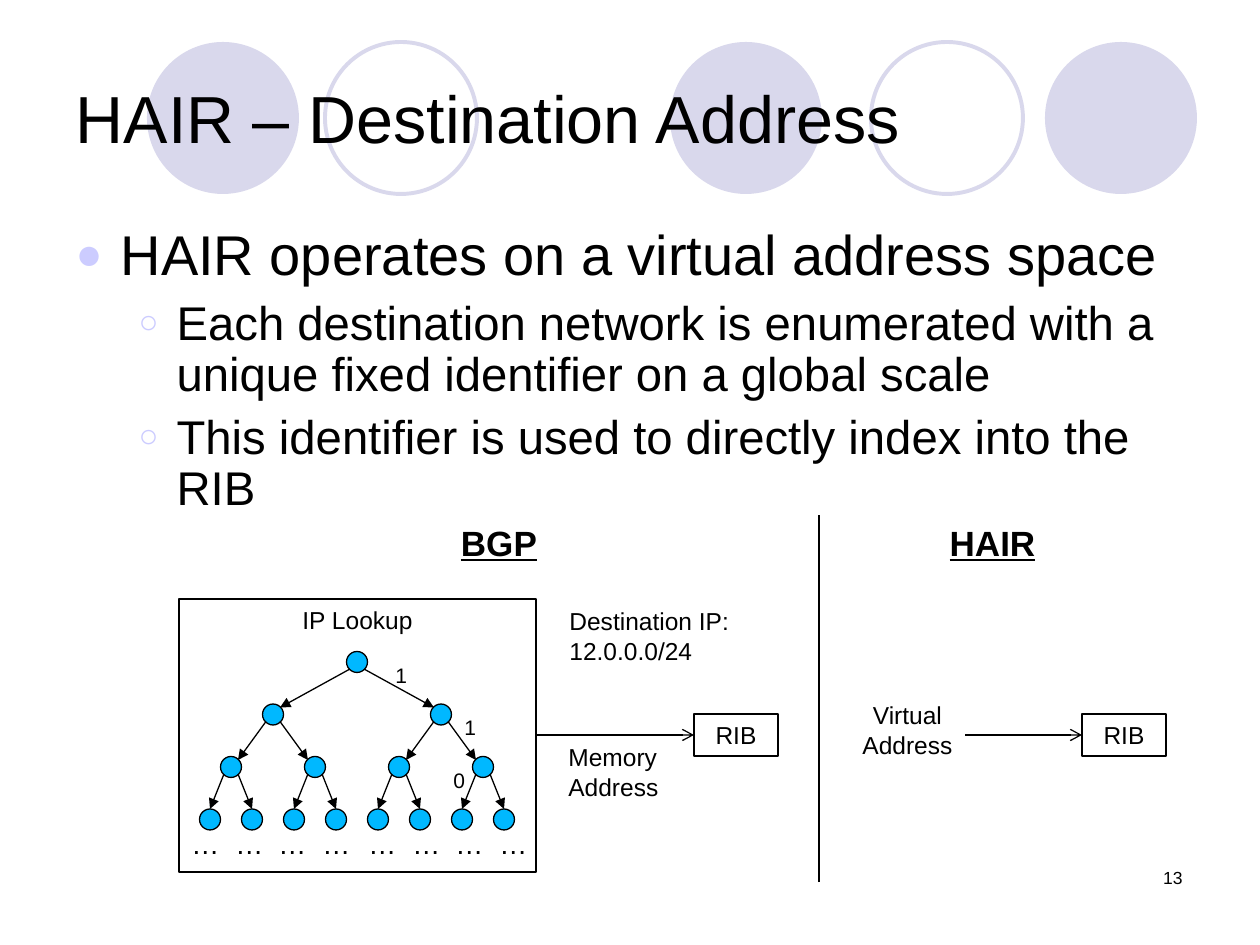
from lxml import etree
from pptx import Presentation
from pptx import util as u
from pptx.dml.color import RGBColor
from pptx.enum import shapes, text
from pptx.oxml.ns import qn

PX = u.Inches(10) / 1260
FONT = "Arial"
COLORS = {"ink": "000000", "paper": "FFFFFF", "circle": "D9D8EC",
          "bullet": "CCCCFF", "node": "00B8FF"}
LEFT, CENTER, RIGHT = text.PP_ALIGN.LEFT, text.PP_ALIGN.CENTER, text.PP_ALIGN.RIGHT
RECT, OVAL = shapes.MSO_SHAPE.RECTANGLE, shapes.MSO_SHAPE.OVAL


def emu(*lengths):
    return [u.Emu(round(length * PX)) for length in lengths]


def color(name):
    return RGBColor.from_string(COLORS[name])


def add_xml(parent, tag, **attributes):
    return etree.SubElement(parent, qn(tag), attributes)


def add_run(paragraph, words, size, bold=False, underline=False):
    run = paragraph.add_run()
    run.text = words
    run.font.name, run.font.size = FONT, u.Pt(size)
    run.font.bold, run.font.underline = bold, underline
    run.font.color.rgb = color("ink")


def write(frame, lines, size, align=LEFT, wrap=True, **style):
    frame.word_wrap = wrap
    for i, line in enumerate(lines):
        paragraph = frame.add_paragraph() if i else frame.paragraphs[0]
        paragraph.alignment = align
        add_run(paragraph, line, size, **style)


def label(parent, box, lines, size, align=LEFT, wrap=True, **style):
    textbox = parent.add_textbox(*emu(*box))
    write(textbox.text_frame, lines, size, align, wrap, **style)
    return textbox


def outline(parent, kind, box, fill=None, line="ink", width=0.75):
    shape = parent.add_shape(kind, *emu(*box))
    shape.shadow.inherit = False
    if fill:
        shape.fill.solid()
        shape.fill.fore_color.rgb = color(fill)
    else:
        shape.fill.background()
    if line:
        shape.line.color.rgb = color(line)
        shape.line.width = u.Pt(width)
    else:
        shape.line.fill.background()
    return shape


def connect(parent, start, end, head=None):
    line = parent.add_connector(shapes.MSO_CONNECTOR.STRAIGHT, *emu(*start, *end))
    line.line.color.rgb = color("ink")
    line.line.width = u.Pt(0.75)
    properties = line.element.spPr
    if head:
        add_xml(properties.find(qn("a:ln")), "a:tailEnd", type=head)
    add_xml(properties, "a:effectLst")


def circle_band(slide, box):
    """Row of filled and hollow circles behind the title."""
    left, top, size = box
    band = slide.shapes.add_group_shape()
    for x, filled in ((0, True), (178, False), (523, True), (724, False), (898, True)):
        outline(band.shapes, OVAL, (left + x, top, size, size),
                fill="circle" if filled else None,
                line=None if filled else "circle", width=2.25)
    slide.shapes.element.insert(2, band.element)


def place(holder, box):
    holder.left, holder.top, holder.width, holder.height = emu(*box)
    holder.text_frame.auto_size = text.MSO_AUTO_SIZE.NONE
    holder.text_frame.word_wrap = True


def heading(slide, box):
    title = slide.shapes.title
    place(title, box)
    title.text_frame.vertical_anchor = text.MSO_ANCHOR.MIDDLE
    write(title.text_frame, ["HAIR – Destination Address"], 38)


def bullet_list(slide, box):
    body = slide.placeholders[1]
    place(body, box)
    points = [
        (0, "HAIR operates on a virtual address space"),
        (1, "Each destination network is enumerated with a unique fixed identifier on a global scale"),
        (1, "This identifier is used to directly index into the RIB"),
    ]
    styles = [(32, 45, 45, "●", 80), (27, 101, 38, "○", 70)]
    for i, (level, words) in enumerate(points):
        size, margin, hanging, mark, percent = styles[level]
        frame = body.text_frame
        paragraph = frame.add_paragraph() if i else frame.paragraphs[0]
        paragraph.level = level
        paragraph.line_spacing = 0.9
        paragraph.space_before = u.Pt(6.8 if i else 0)
        properties = paragraph._p.get_or_add_pPr()
        indents = emu(margin, -hanging)
        properties.set("marL", str(indents[0]))
        properties.set("indent", str(indents[1]))
        add_xml(add_xml(properties, "a:buClr"), "a:srgbClr", val=COLORS["bullet"])
        add_xml(properties, "a:buSzPct", val=str(percent * 1000))
        add_xml(properties, "a:buFont", typeface=FONT)
        add_xml(properties, "a:buChar", char=mark)
        add_run(paragraph, words, size)


def lookup_tree(slide, box):
    """Framed binary tree with four levels of nodes."""
    left, top, width, height = box
    tree = slide.shapes.add_group_shape().shapes
    outline(tree, RECT, box, fill="paper")
    label(tree, (left + 105, top, 147, 43), ["IP Lookup"], 14, CENTER)
    node, edge, leaf_level = 21, 7, 3

    def center(level, index):
        return (left + 10 + 336 / 2 ** level * (index + 0.5),
                top + 63 + 52.5 * level)

    for level in range(leaf_level + 1):
        for index in range(2 ** level):
            x, y = center(level, index)
            outline(tree, OVAL, (x - node / 2, y - node / 2, node, node), fill="node")
            if level == 0:
                continue
            parent_x, parent_y = center(level - 1, index // 2)
            side = 1 if index % 2 else -1
            end = ((x, y - node / 2) if level == leaf_level
                   else (x - side * edge, y - edge))
            connect(tree, (parent_x + side * edge, parent_y + edge), end, "triangle")

    for x in (0, 177):
        dots = label(tree, (left + x, top + 221, 189, 46), ["…\t…\t…\t…"], 16)
        properties = dots.text_frame.paragraphs[0]._p.get_or_add_pPr()
        stops = add_xml(properties, "a:tabLst")
        for stop in emu(44, 87, 131):
            add_xml(stops, "a:tab", pos=str(stop), algn="l")
    for x, y, bit in ((204, 57, "1"), (273, 109, "1"), (262, 162, "0")):
        label(slide.shapes, (left + x, top + y, 37, 38), [bit], 12, wrap=False)


def rib_access(slide, box):
    """Arrow across the box, ending at a RIB cell on its right."""
    left, top, width, height = box
    cell = 84
    rib = outline(slide.shapes, RECT, (left + width - cell, top, cell, height))
    rib.text_frame.vertical_anchor = text.MSO_ANCHOR.MIDDLE
    write(rib.text_frame, ["RIB"], 14, CENTER)
    middle = top + height / 2
    connect(slide.shapes, (left, middle), (left + width - cell, middle), "arrow")


def column_title(slide, box, words):
    label(slide.shapes, box, [words], 20, CENTER, bold=True, underline=True)


def bgp_side(slide, box):
    left, top, width, height = box
    column_title(slide, (left, top, width, 55), "BGP")
    lookup_tree(slide, (left, top + 84, 357, 273))
    rib_access(slide, (left + 357, top + 199, 242, 42))
    label(slide.shapes, (left + 377, top + 221, 115, 72),
          ["Memory", "Address"], 14, wrap=False)
    label(slide.shapes, (left + 378, top + 85, 210, 72),
          ["Destination IP: 12.0.0.0/24"], 14)


def hair_side(slide, box):
    left, top, width, height = box
    connect(slide.shapes, (left, top + height), (left, top))
    column_title(slide, (left, top, width, 55), "HAIR")
    rib_access(slide, (left + 105, top + 199, 242, 42))
    address = outline(slide.shapes, RECT, (left + 31, top + 179, 115, 72),
                      fill="paper", line=None)
    address.text_frame.vertical_anchor = text.MSO_ANCHOR.TOP
    write(address.text_frame, ["Virtual", "Address"], 14, CENTER, wrap=False)


def main():
    deck = Presentation()
    deck.slide_width, deck.slide_height = emu(1260, 945)
    slide = deck.slides.add_slide(deck.slide_layouts[1])
    circle_band(slide, (147, 42, 152))
    heading(slide, (63, 38, 1134, 158))
    bullet_list(slide, (63, 221, 1134, 336))
    bgp_side(slide, (179, 515, 640, 367))
    hair_side(slide, (819, 515, 347, 367))
    label(slide.shapes, (903, 861, 292, 62), ["13"], 10, RIGHT)
    deck.save("out.pptx")


if __name__ == "__main__":
    main()
